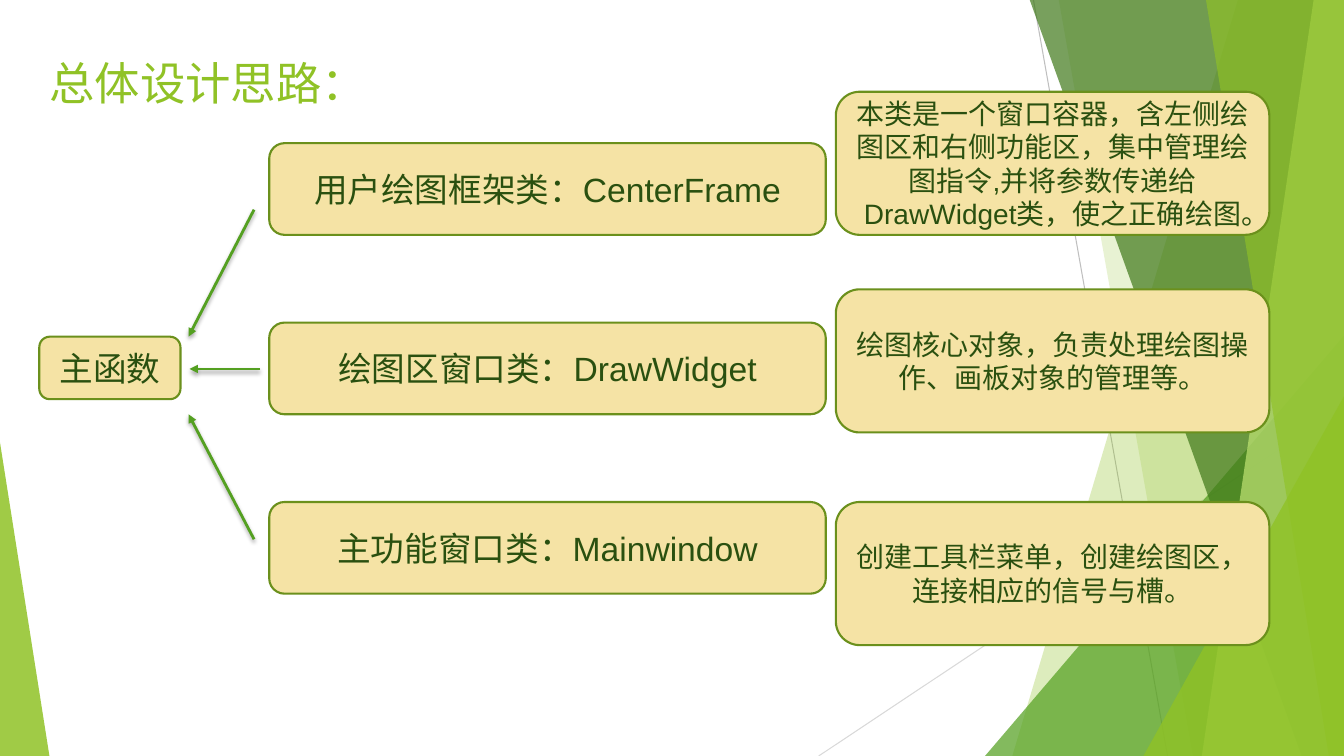
from lxml import etree
from pptx import Presentation
from pptx import util as u
from pptx.dml.color import RGBColor
from pptx.enum import shapes, text
from pptx.oxml.ns import qn

COLORS = {
    "lime": "90C226", "green": "54A021", "forest": "3F7819", "pale": "C0E474",
    "sand": "F5E3A5", "olive": "6B901C", "ink": "2A5010", "black": "000000",
    "gray": "BFBFBF", "silver": "D9D9D9",
}
WIDTH, HEIGHT = 13.33, 7.5
CJK_FONT = "Noto Sans CJK SC"


class SlideBuilder:
    def __init__(self, deck):
        self.page = deck.slides.add_slide(deck.slide_layouts[5])
        self.items = self.page.shapes

    def color(self, name):
        return RGBColor.from_string(COLORS[name])

    def paint(self, shape, color, opacity=100):
        shape.shadow.inherit = False
        shape.fill.solid()
        shape.fill.fore_color.rgb = self.color(color)
        if opacity < 100:
            tint = shape._element.spPr.find(qn("a:solidFill"))[0]
            etree.SubElement(tint, qn("a:alpha"), val=str(opacity * 1000))
            shape.line.fill.background()

    def label(self, shape, words, size, font, color, align):
        para = shape.text_frame.paragraphs[0]
        para.text = words
        para.alignment = align
        para.font.size = u.Pt(size)
        para.font.name = font
        para.font.color.rgb = self.color(color)
        latin = para.font._element.find(qn("a:latin"))
        latin.addnext(etree.Element(qn("a:ea"), typeface=CJK_FONT))

    def title(self, words, left, top, width, height):
        box = self.items.title
        box.left, box.top = u.Inches(left), u.Inches(top)
        box.width, box.height = u.Inches(width), u.Inches(height)
        frame = box.text_frame
        frame.word_wrap = False
        frame.auto_size = text.MSO_AUTO_SIZE.NONE
        frame.vertical_anchor = text.MSO_ANCHOR.TOP
        self.label(box, words, 32.4, "Roboto", "lime", text.PP_ALIGN.LEFT)

    def box(self, words, left, top, width, height, size, font="Arial"):
        box = self.items.add_shape(
            shapes.MSO_SHAPE.ROUNDED_RECTANGLE, u.Inches(left), u.Inches(top),
            u.Inches(width), u.Inches(height))
        self.paint(box, "sand")
        box.line.color.rgb = self.color("olive")
        box.line.width = u.Pt(1.5)
        box.text_frame.word_wrap = True
        box.text_frame.vertical_anchor = text.MSO_ANCHOR.MIDDLE
        self.label(box, words, size, font, "ink", text.PP_ALIGN.CENTER)

    def band(self, top_x, bottom_x, color, opacity):
        """Panel with a slanted left side that reaches the right slide edge."""
        builder = self.items.build_freeform(
            u.Inches(top_x), u.Inches(-0.01), scale=1.0)
        corners = [(WIDTH, -0.01), (WIDTH, HEIGHT), (bottom_x, HEIGHT)]
        builder.add_line_segments(
            [(u.Inches(x), u.Inches(y)) for x, y in corners], close=True)
        self.paint(builder.convert_to_shape(), color, opacity)

    def triangle(self, left, top, width, apex, color, opacity):
        """Triangle that stands on the bottom slide edge."""
        triangle = self.items.add_shape(
            shapes.MSO_SHAPE.ISOSCELES_TRIANGLE, u.Inches(left), u.Inches(top),
            u.Inches(width), u.Inches(HEIGHT - top))
        triangle.adjustments[0] = apex
        self.paint(triangle, color, opacity)

    def line(self, start, end, color, width):
        line = self.items.add_connector(
            shapes.MSO_CONNECTOR.STRAIGHT,
            *[u.Inches(value) for value in (*start, *end)])
        line.line.color.rgb = self.color(color)
        line.line.width = u.Pt(width)
        effects = etree.SubElement(line._element.spPr, qn("a:effectLst"))
        return line, effects

    def arrow(self, start, end):
        line, effects = self.line(start, end, "green", 2)
        outline = line._element.spPr.find(qn("a:ln"))
        etree.SubElement(outline, qn("a:tailEnd"), type="triangle")
        shadow = etree.SubElement(
            effects, qn("a:outerShdw"), blurRad=str(int(u.Pt(3))),
            dist=str(int(u.Pt(2))), dir=str(90 * 60000), rotWithShape="0")
        tint = etree.SubElement(shadow, qn("a:srgbClr"), val=COLORS["black"])
        etree.SubElement(tint, qn("a:alpha"), val="35000")


def main():
    deck = Presentation()
    deck.slide_width, deck.slide_height = u.Inches(WIDTH), u.Inches(HEIGHT)
    slide = SlideBuilder(deck)

    # Background facets
    slide.line((10.25, 0), (11.58, HEIGHT), "gray", 0.75)
    slide.line((WIDTH, 4.03), (8.12, HEIGHT), "silver", 0.75)
    slide.band(12.28, 10.04, "lime", 30)
    slide.band(10.5, 11.83, "lime", 20)
    slide.triangle(9.77, 3.33, 3.56, 1, "green", 72)
    slide.band(10.21, 12.91, "forest", 70)
    slide.band(13.03, 11.92, "pale", 70)
    slide.band(11.96, 13.18, "lime", 65)
    slide.triangle(11.34, 3.93, 1.99, 1, "lime", 80)
    slide.triangle(0, 4.39, 0.49, 0, "lime", 85)

    # Title and main function
    slide.title("总体设计思路：", 0.39, 0.5, 3.1, 0.89)
    slide.box("主函数", 0.39, 3.34, 1.4, 0.62, 24, CJK_FONT)

    # Classes
    classes = ["用户绘图框架类：CenterFrame", "绘图区窗口类：DrawWidget",
               "主功能窗口类：Mainwindow"]
    for row, name in enumerate(classes):
        slide.box(name, 2.67, 1.42 + 1.78 * row, 5.52, 0.91, 24)

    # Descriptions
    descriptions = [
        (0.91, "Arial", "本类是一个窗口容器，含左侧绘图区和右侧功能区，集中管理绘图指令,"
                        "并将参数传递给DrawWidget类，使之正确绘图。"),
        (2.87, "Arial", "绘图核心对象，负责处理绘图操作、画板对象的管理等。"),
        (4.98, "Roboto", "创建工具栏菜单，创建绘图区， 连接相应的信号与槽。"),
    ]
    for top, font, words in descriptions:
        slide.box(words, 8.29, top, 4.3, 1.42, 20, font)

    # Arrows into the main function
    slide.arrow((2.52, 2.08), (1.87, 3.34))
    slide.arrow((2.58, 3.66), (1.88, 3.66))
    slide.arrow((2.52, 5.35), (1.87, 4.11))

    deck.save("out.pptx")


if __name__ == "__main__":
    main()
